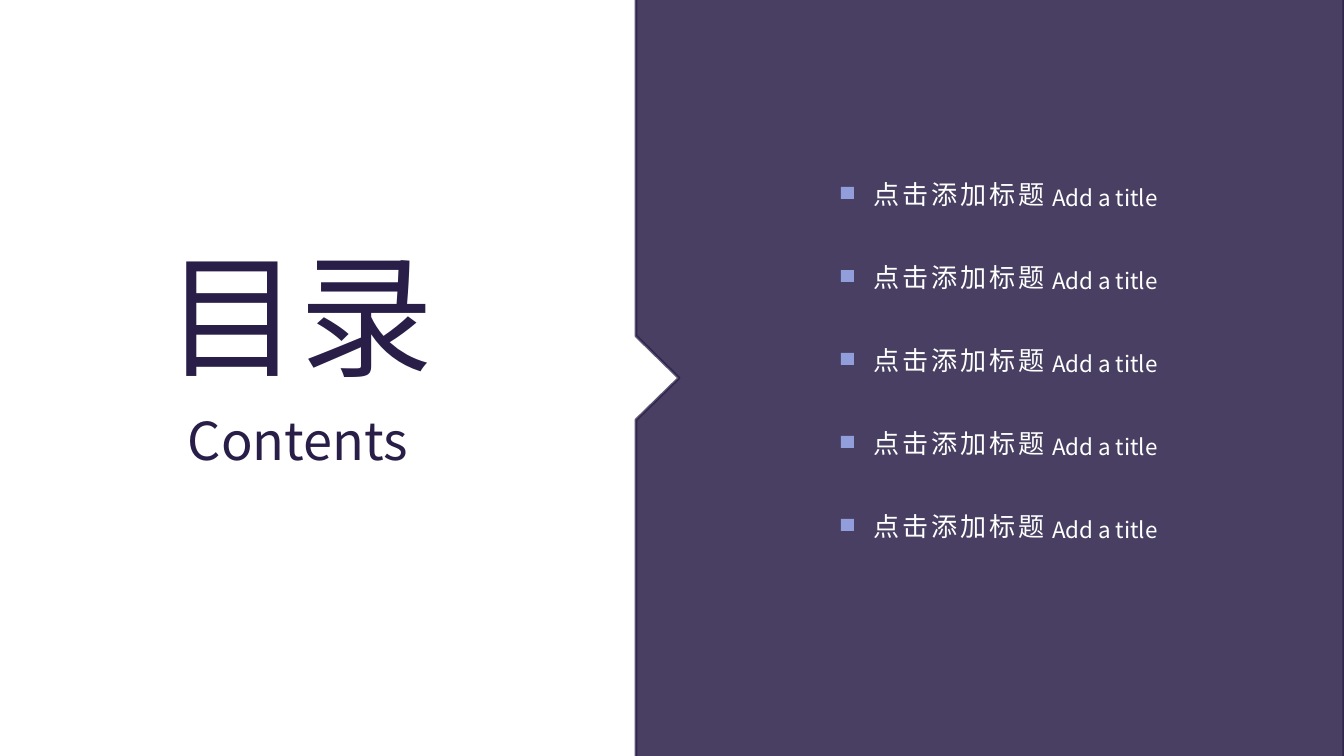
import pptx
import pptx.dml.color
import pptx.enum.shapes
import pptx.enum.text
import pptx.oxml.ns
import pptx.oxml.xmlchemy
import pptx.util

PX = 914400 / 134.4
FONT = "Noto Sans CJK SC"
INK = pptx.dml.color.RGBColor(0x28, 0x1E, 0x47)
WHITE = pptx.dml.color.RGBColor(0xFF, 0xFF, 0xFF)
PERIWINKLE = pptx.dml.color.RGBColor(0x91, 0x9E, 0xDB)
ENTRIES = [("点击添加标题", "Add a title")] * 5


def px(length):
    """Turn px into EMU."""
    return pptx.util.Emu(round(length * PX))


def set_opacity(fill, percent):
    """Make a solid fill partly transparent."""
    color = fill._xPr.find(pptx.oxml.ns.qn("a:solidFill"))[0]
    alpha = pptx.oxml.xmlchemy.OxmlElement("a:alpha")
    alpha.set("val", str(percent * 1000))
    color.append(alpha)


def add_label(slide, box, wording, size, color, spacing=0, wrap=True, left_inset=13, leading=None):
    """Place one justified line of text in the box."""
    label = slide.shapes.add_textbox(*map(px, box))
    frame = label.text_frame
    frame.word_wrap = wrap
    frame.auto_size = pptx.enum.text.MSO_AUTO_SIZE.SHAPE_TO_FIT_TEXT
    frame.margin_left = px(left_inset)
    line = frame.paragraphs[0]
    line.alignment = pptx.enum.text.PP_ALIGN.JUSTIFY
    if leading:
        line.line_spacing = pptx.util.Pt(leading)
    run = line.add_run()
    run.text = wording
    run.font.name = FONT
    run.font.size = pptx.util.Pt(size)
    run.font.color.rgb = color
    properties = run.font._element
    east_asian = pptx.oxml.xmlchemy.OxmlElement("a:ea")
    east_asian.set("typeface", FONT)
    properties.append(east_asian)
    if spacing:
        properties.set("spc", str(round(spacing * 100)))


def add_panel(slide, left, top, width, height):
    """Draw the dark panel with a notch halfway down its left edge."""
    right, bottom, middle = left + width, top + height, top + height // 2
    notch = 42
    builder = slide.shapes.build_freeform(right, bottom, scale=PX)
    builder.add_line_segments([
        (right, top),
        (left, top),
        (left, middle - notch),
        (left + notch + 1, middle),
        (left, middle + notch),
        (left, bottom),
    ], close=True)
    panel = builder.convert_to_shape()
    panel.shadow.inherit = False
    panel.fill.solid()
    panel.fill.fore_color.rgb = INK
    set_opacity(panel.fill, 85)
    panel.line.width = pptx.util.Pt(1.5)
    panel.line.color.rgb = INK
    set_opacity(panel.line.fill, 75)


def add_heading(slide, left, top, width):
    """Place the Chinese heading with its English translation below."""
    add_label(slide, (left, top, width, 176), "目录", 72, INK, spacing=0.3)
    add_label(slide, (left + 23, top + 176, width - 23, 77), "Contents", 28, INK, wrap=False)


def add_entry(slide, left, top, chinese, english):
    """Place one entry: square marker, Chinese title and English title."""
    add_label(slide, (left + 200, top + 1, 172, 42), english, 12, WHITE, left_inset=11, leading=15)
    add_label(slide, (left + 22, top, 200, 70), chinese, 14, WHITE,
              spacing=1.5, left_inset=11, leading=15)
    marker = slide.shapes.add_shape(
        pptx.enum.shapes.MSO_SHAPE.RECTANGLE, px(left), px(top + 12), px(13), px(12))
    marker.shadow.inherit = False
    marker.fill.solid()
    marker.fill.fore_color.rgb = PERIWINKLE
    marker.line.fill.background()


def add_entries(slide, left, top, pitch):
    """Stack the entries at an equal pitch."""
    for index, (chinese, english) in enumerate(ENTRIES):
        add_entry(slide, left, top + index * pitch, chinese, english)


def main():
    """Build the contents slide."""
    deck = pptx.Presentation()
    deck.slide_width, deck.slide_height = px(1344), px(756)
    slide = deck.slides.add_slide(deck.slide_layouts[6])
    slide.background.fill.solid()
    slide.background.fill.fore_color.rgb = WHITE
    add_panel(slide, 636, -302, 708, 1360)
    add_heading(slide, 152, 226, 337)
    add_entries(slide, 841, 175, 83)
    deck.save("out.pptx")


if __name__ == "__main__":
    main()
